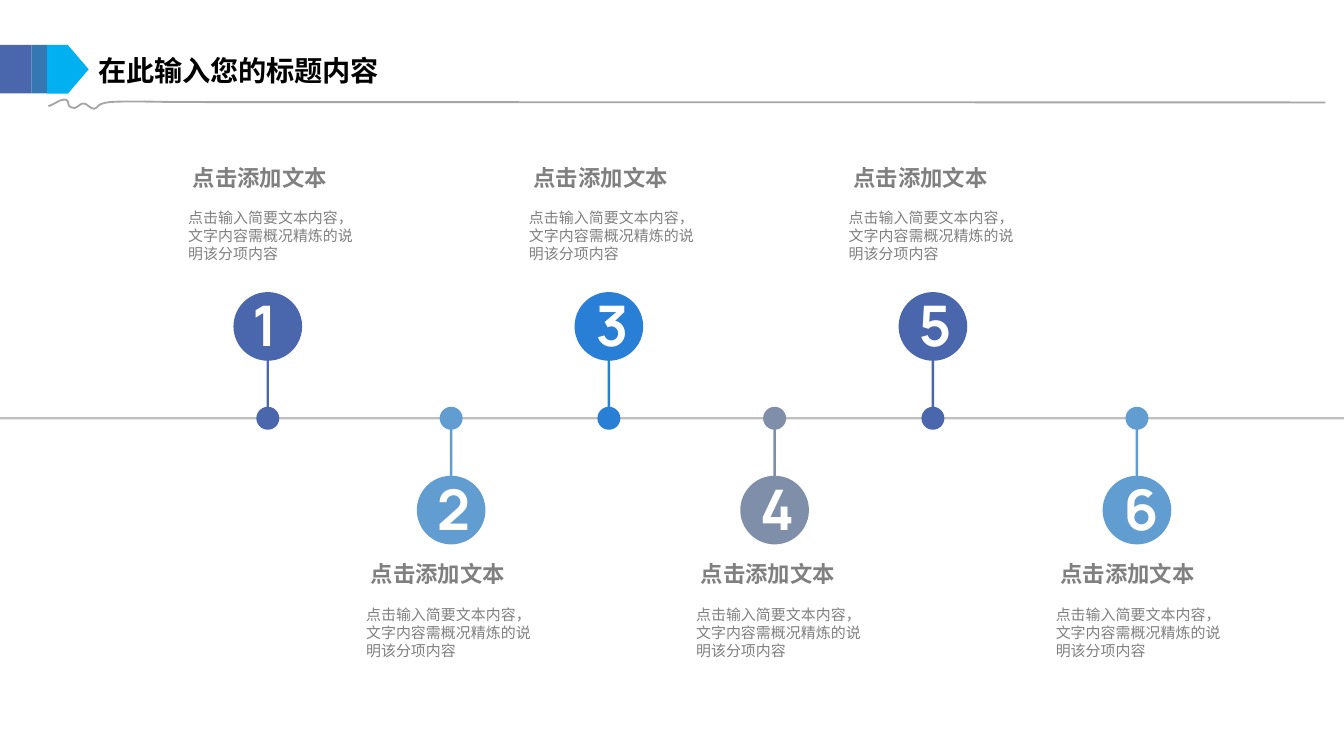
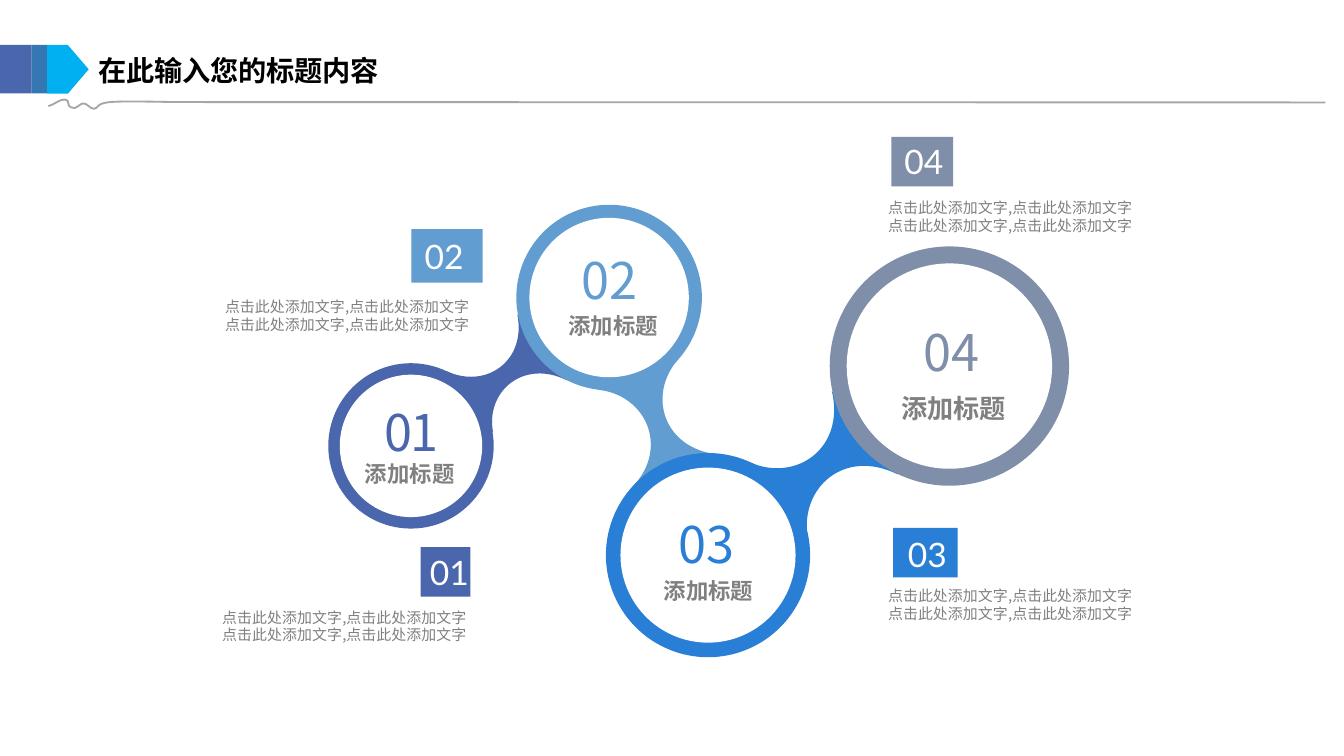
"""Builds a six-step timeline slide and a four-circle chain slide."""

from dataclasses import dataclass
from typing import NamedTuple

import lxml.etree
import pptx
import pptx.dml.color
import pptx.enum.shapes
import pptx.enum.text
import pptx.oxml.ns
import pptx.util

Pt = pptx.util.Pt
Shapes = pptx.enum.shapes.MSO_SHAPE
Align = pptx.enum.text.PP_ALIGN
Point = tuple[float, float]
Segment = tuple[Point, ...]


@dataclass(frozen=True)
class Theme:
    indigo: str = "4A66AC"
    sky: str = "629DD1"
    blue: str = "297FD5"
    slate: str = "7F8FA9"
    teal: str = "3477B2"
    cyan: str = "00B0F0"
    white: str = "FFFFFF"
    black: str = "000000"
    text: str = "808080"
    axis: str = "BFBFBF"
    rule: str = "A6A6A6"
    font: str = "Noto Sans CJK SC"
    number_font: str = "Manrope"
    badge_font: str = "Lato"
    title_size: float = 15.05
    number_size: float = 30
    label_size: float = 27
    badge_size: float = 18
    heading_size: float = 12
    large_heading_size: float = 14
    body_size: float = 8


THEME = Theme()


class Box(NamedTuple):
    left: float
    top: float
    width: float
    height: float


class Milestone(NamedTuple):
    number: int
    colour: str
    centre: float
    number_left: float
    heading_left: float


class Outline(NamedTuple):
    start: Point
    segments: list[Segment]


class Node(NamedTuple):
    label: str
    colour: str
    centre: Point
    outer: float
    inner: float
    label_box: Box
    caption_centre: float
    caption_top: float
    caption_size: float
    spacing: float
    neck: Outline | None


class Note(NamedTuple):
    label: str
    colour: str
    badge: Box
    label_left: float
    label_top: float
    body: Box
    align: Align


TITLE = "在此输入您的标题内容"
HEADING = "点击添加文本"
SUMMARY = "点击输入简要文本内容，文字内容需概况精炼的说明该分项内容"
CAPTION = "添加标题"
DETAIL = "\n".join(["点击此处添加文字,点击此处添加文字"] * 2)

AXIS_Y = 224.1
DOT = 12.3
DISC = 36.8
DISC_OFFSET = 49.2
STEM = 1.3
LOWER_SHIFT = 212.6

SQUIGGLE = Outline((25.9, 56.9), [
    ((28.8, 56.2), (31.7, 53.3), (34.6, 53.3)),
    ((38.2, 54), (35.3, 56.9), (38.2, 57.6)),
    ((41, 59), (42.5, 55.4), (44.6, 55.4)),
    ((46.8, 55.4), (48.2, 58.3), (50.4, 58.3)),
    ((52.6, 58.3), (51.1, 55.4), (59, 54.7)),
    ((67, 54), (88.6, 54.7), (96.5, 54.7)),
])

MILESTONES = [
    Milestone(1, THEME.indigo, 143.5, 130.2, 96.2),
    Milestone(2, THEME.sky, 241.7, 229.1, 191.5),
    Milestone(3, THEME.blue, 326.2, 314.3, 278.8),
    Milestone(4, THEME.slate, 415, 402.2, 368.3),
    Milestone(5, THEME.indigo, 499.8, 487.1, 450.1),
    Milestone(6, THEME.sky, 609.1, 597, 561),
]

NODES = [
    Node("01", THEME.indigo, (220.2, 238.9), 88.6, 76.3,
         Box(198.7, 211.2, 44.6, 40.3), 219.5, 242.8, THEME.heading_size, -1.1,
         Outline((239, 198.7), [
             ((259.9, 208.8), (282.2, 193.7), (277.2, 168.5)), ((303.8, 203.8),),
             ((280.8, 192.2), (259.9, 209.5), (264.2, 231.8))])),
    Node("02", THEME.sky, (326.3, 159.4), 99.4, 85.4,
         Box(304.6, 129.8, 46.8, 40.3), 328.5, 163.9, THEME.heading_size, 0,
         Outline((363.6, 192.2), [
             ((346.3, 211.7), (355.7, 240.5), (384.5, 243.4)), ((339.1, 260.6),),
             ((358.6, 239.8), (346.3, 211.7), (320.4, 208.8))])),
    Node("03", THEME.blue, (379.3, 297.4), 109.4, 93.8,
         Box(356.3, 271.4, 46.8, 40.3), 379.6, 305.7, THEME.heading_size, 0,
         Outline((401.8, 247.7), [
             ((426.2, 258.5), (452.9, 240.5), (445.7, 209.5)), ((481, 254.2),),
             ((452.2, 239.8), (428.4, 261.4), (432.7, 288))])),
    Node("04", THEME.slate, (508.6, 196.1), 128.2, 110,
         Box(487.6, 168.5, 46.8, 40.3), 510.8, 206.6, THEME.large_heading_size, 0, None),
]

NOTES = [
    Note("01", THEME.indigo, Box(225.4, 293.1, 26.6, 26.6), 223.2, 292.3,
         Box(59, 322.3, 198, 26.6), Align.RIGHT),
    Note("02", THEME.sky, Box(220.4, 122.7, 38.2, 28.8), 220.4, 122.7,
         Box(72, 155.7, 186.5, 40.3), Align.RIGHT),
    Note("03", THEME.blue, Box(478.4, 282.8, 34.6, 26.6), 479.3, 282.4,
         Box(468.7, 310.7, 194.4, 26.6), Align.LEFT),
    Note("04", THEME.slate, Box(477.6, 73.3, 33.1, 26.6), 477.4, 72,
         Box(468.7, 103, 194.4, 26.6), Align.LEFT),
]


def rgb(colour: str) -> pptx.dml.color.RGBColor:
    return pptx.dml.color.RGBColor.from_string(colour)


def lengths(values: tuple[float, ...]) -> list[pptx.util.Length]:
    return [Pt(value) for value in values]


def write_text(shape, text: str, *, size: float, colour: str = THEME.text,
               font: str = THEME.font, bold: bool = False, align: Align = Align.LEFT,
               wrap: bool = False, inset: Point = (7.2, 3.6), spacing: float = 0) -> None:
    frame = shape.text_frame
    frame.text = text
    frame.word_wrap = wrap
    frame.auto_size = pptx.enum.text.MSO_AUTO_SIZE.SHAPE_TO_FIT_TEXT
    frame.vertical_anchor = pptx.enum.text.MSO_ANCHOR.TOP
    frame.margin_left = frame.margin_right = Pt(inset[0])
    frame.margin_top = frame.margin_bottom = Pt(inset[1])
    for paragraph in frame.paragraphs:
        paragraph.alignment = align
        for run in paragraph.runs:
            run.font.size = Pt(size)
            run.font.bold = bold
            run.font.name = font
            run.font.color.rgb = rgb(colour)
            properties = run._r.get_or_add_rPr()
            lxml.etree.SubElement(properties, pptx.oxml.ns.qn("a:ea"), typeface=font)
            if spacing:
                properties.set("spc", str(round(spacing * 100)))


def add_text(slide, box: Box, text: str, **text_format) -> None:
    write_text(slide.shapes.add_textbox(*lengths(box)), text, **text_format)


def paint(shape, colour: str) -> None:
    shape.shadow.inherit = False
    shape.fill.solid()
    shape.fill.fore_color.rgb = rgb(colour)
    shape.line.fill.background()


def add_filled(slide, kind: Shapes, box: Box, colour: str) -> None:
    paint(slide.shapes.add_shape(kind, *lengths(box)), colour)


def add_circle(slide, centre: Point, diameter: float, colour: str) -> None:
    box = Box(centre[0] - diameter / 2, centre[1] - diameter / 2, diameter, diameter)
    add_filled(slide, Shapes.OVAL, box, colour)


def add_outline(slide, outline: Outline, close: bool):
    builder = slide.shapes.build_freeform(*lengths(outline.start))
    points = [lengths(point) for segment in outline.segments for point in segment]
    builder.add_line_segments(points, close=close)
    shape = builder.convert_to_shape()
    lines = iter(list(shape._element.iter(pptx.oxml.ns.qn("a:lnTo"))))
    for segment in outline.segments:
        members = [next(lines) for _ in segment]
        if len(members) == 3:
            curve = lxml.etree.Element(pptx.oxml.ns.qn("a:cubicBezTo"))
            members[0].addprevious(curve)
            for member in members:
                curve.append(member[0])
                member.getparent().remove(member)
    return shape


def add_header(slide) -> None:
    title = slide.shapes.title
    title.left, title.top, title.width, title.height = lengths(Box(47.8, 26, 244, 23))
    write_text(title, TITLE, size=THEME.title_size, colour=THEME.black, bold=True,
               wrap=True, inset=(5, 2.6))

    squiggle = add_outline(slide, SQUIGGLE, close=False)
    squiggle.shadow.inherit = False
    squiggle.fill.background()
    squiggle_end = SQUIGGLE.segments[-1][-1]
    rule = slide.shapes.add_connector(pptx.enum.shapes.MSO_CONNECTOR.STRAIGHT,
                                      *lengths((*squiggle_end, 710, 54.9)))
    lxml.etree.SubElement(rule._element.spPr, pptx.oxml.ns.qn("a:effectLst"))
    for stroke in (squiggle, rule):
        stroke.line.color.rgb = rgb(THEME.rule)
        stroke.line.width = Pt(1)

    add_filled(slide, Shapes.RECTANGLE, Box(0, 24, 16.8, 26.1), THEME.indigo)
    add_filled(slide, Shapes.RECTANGLE, Box(16.8, 24, 8.4, 26.1), THEME.teal)
    add_filled(slide, Shapes.PENTAGON, Box(25.2, 24.1, 22.3, 26.1), THEME.cyan)


def add_milestone(slide, milestone: Milestone) -> None:
    above = milestone.number % 2 == 1
    disc_y = AXIS_Y - DISC_OFFSET if above else AXIS_Y + DISC_OFFSET
    shift = 0 if above else LOWER_SHIFT
    stem = Box(milestone.centre - STEM / 2, min(disc_y, AXIS_Y), STEM, DISC_OFFSET)
    add_filled(slide, Shapes.RECTANGLE, stem, milestone.colour)
    add_circle(slide, (milestone.centre, AXIS_Y), DOT, milestone.colour)
    add_circle(slide, (milestone.centre, disc_y), DISC, milestone.colour)
    add_text(slide, Box(milestone.number_left, disc_y - 21.8, 28.8, 41.8),
             str(milestone.number), size=THEME.number_size, colour=THEME.white,
             font=THEME.number_font, bold=True, inset=(5, 2.6))
    add_text(slide, Box(milestone.heading_left, 84.2 + shift, 87, 21.6), HEADING,
             size=THEME.heading_size, bold=True)
    add_text(slide, Box(milestone.heading_left - 2.5, 108.2 + shift, 104.4, 36), SUMMARY,
             size=THEME.body_size, wrap=True)


def add_node(slide, node: Node) -> None:
    if node.neck:
        paint(add_outline(slide, node.neck, close=True), node.colour)
    add_circle(slide, node.centre, node.outer, node.colour)
    add_circle(slide, node.centre, node.inner, THEME.white)


def add_node_text(slide, node: Node) -> None:
    width = len(CAPTION) * node.caption_size + 15
    add_text(slide, Box(node.caption_centre - width / 2, node.caption_top, width, 21.6),
             CAPTION, size=node.caption_size, bold=True, align=Align.CENTER)
    add_text(slide, node.label_box, node.label, size=THEME.label_size,
             colour=node.colour, spacing=node.spacing)


def add_note(slide, note: Note) -> None:
    add_text(slide, note.body, DETAIL, size=THEME.body_size, align=note.align, wrap=True)
    add_filled(slide, Shapes.RECTANGLE, note.badge, note.colour)
    add_text(slide, Box(note.label_left, note.label_top, 38.2, 28.8), note.label,
             size=THEME.badge_size, colour=THEME.white, font=THEME.badge_font, wrap=True)


def main() -> None:
    presentation = pptx.Presentation()
    presentation.slide_width, presentation.slide_height = Pt(720), Pt(405)
    title_only = presentation.slide_layouts[5]

    timeline = presentation.slides.add_slide(title_only)
    add_filled(timeline, Shapes.RECTANGLE, Box(0, AXIS_Y - STEM / 2, 720, STEM), THEME.axis)
    for milestone in MILESTONES:
        add_milestone(timeline, milestone)
    add_header(timeline)

    chain = presentation.slides.add_slide(title_only)
    for node in NODES:
        add_node(chain, node)
    for node in NODES:
        add_node_text(chain, node)
    for note in NOTES:
        add_note(chain, note)
    add_header(chain)

    presentation.save("out.pptx")


if __name__ == "__main__":
    main()
